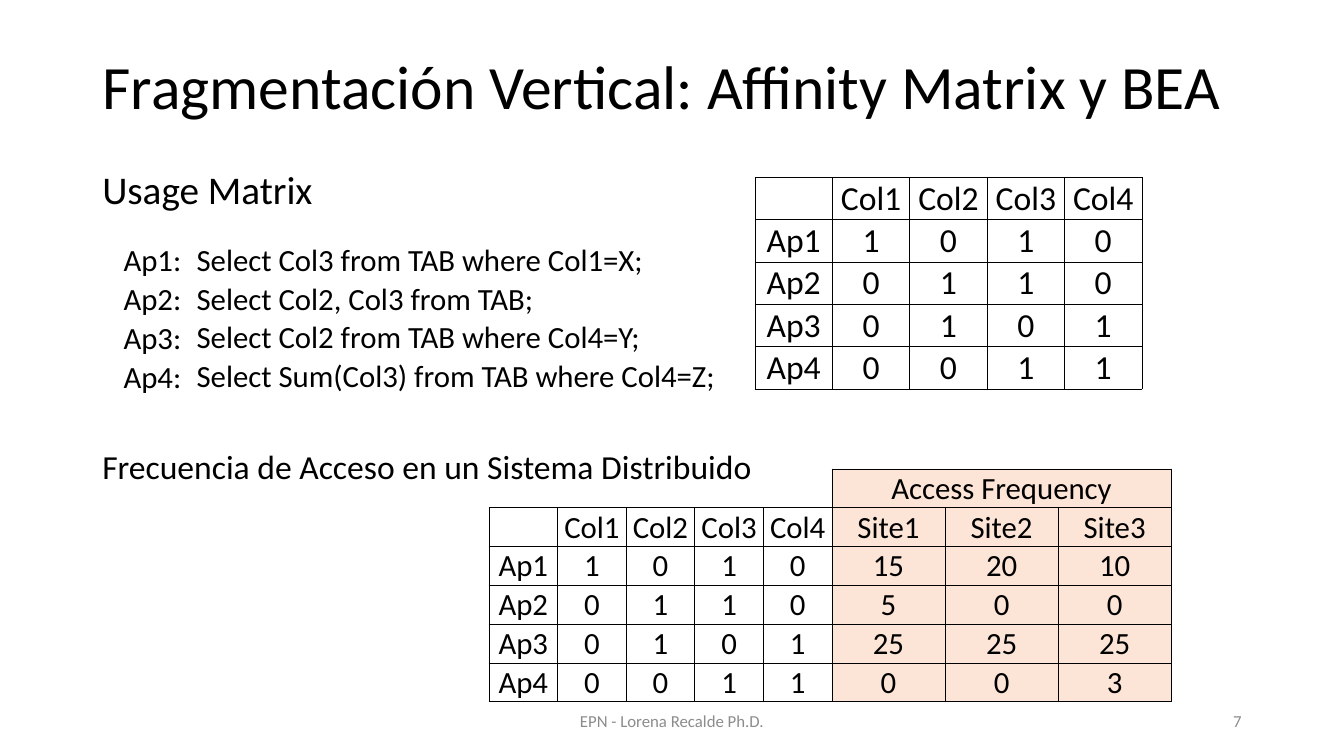
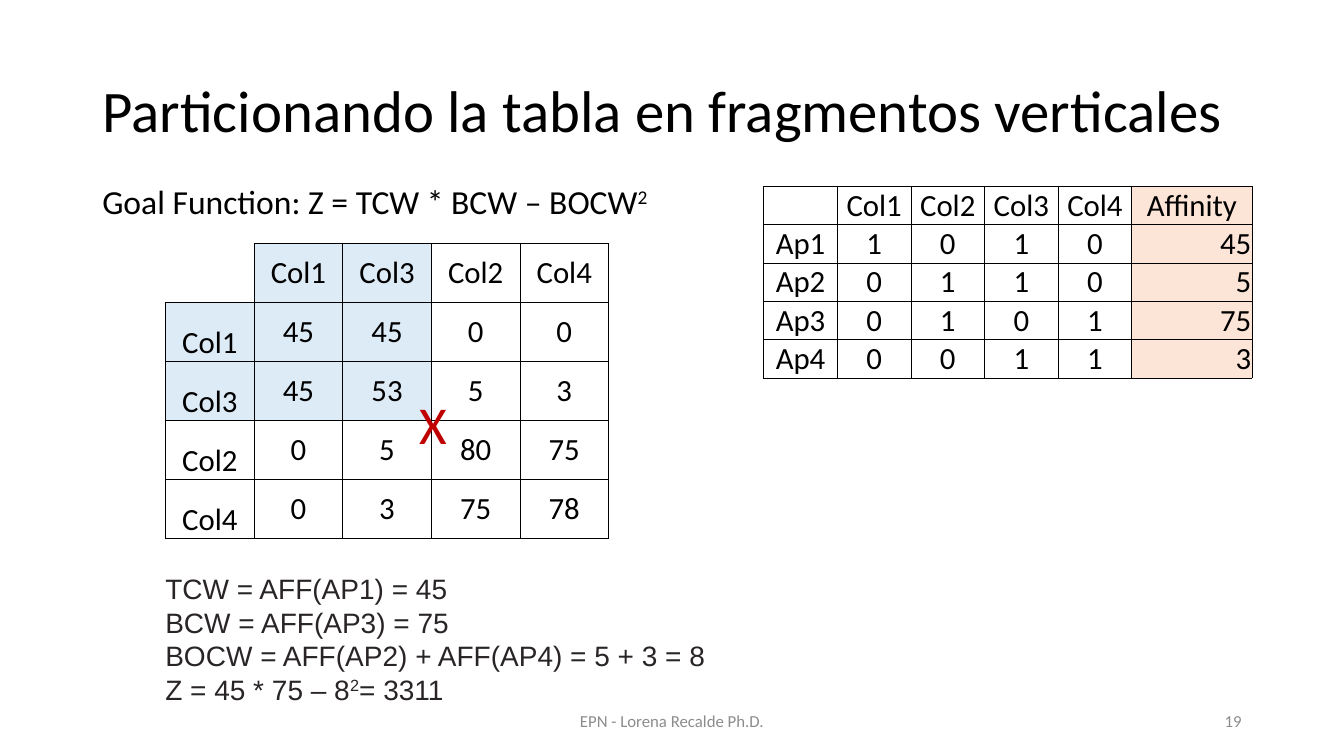
"""Build two slides on vertical fragmentation with usage and affinity matrices."""
from dataclasses import dataclass, field
from itertools import product
from typing import NamedTuple, Optional

from lxml.etree import SubElement
from pptx import Presentation
from pptx.dml.color import RGBColor
from pptx.enum.text import MSO_ANCHOR as Anchor, MSO_AUTO_SIZE as AutoSize, PP_ALIGN as Align
from pptx.oxml.ns import qn
from pptx.util import Pt

COLOURS = {
    "text": "000000",
    "footer": "8C8C8C",
    "result": "292526",
    "cut": "C00000",
    "peach": "FCE4D6",
    "blue": "DDEBF7",
}
NO_GRID_STYLE = "{2D5ABB26-0587-4C30-8999-92F81FD0307C}"
CELL_INSET = 0.5
COLUMN_NAMES = ["Col1", "Col2", "Col3", "Col4"]
USAGE = [
    ["", *COLUMN_NAMES],
    ["Ap1", "1", "0", "1", "0"],
    ["Ap2", "0", "1", "1", "0"],
    ["Ap3", "0", "1", "0", "1"],
    ["Ap4", "0", "0", "1", "1"],
]


class Run(NamedTuple):
    text: str
    superscript: bool = False


class Placement(NamedTuple):
    align: Align
    anchor: Anchor
    indent: float = CELL_INSET


CENTRED = Placement(Align.CENTER, Anchor.MIDDLE)
LOW_CENTRED = Placement(Align.CENTER, Anchor.BOTTOM)
LOW_RIGHT = Placement(Align.RIGHT, Anchor.BOTTOM)


@dataclass
class Caption:
    left: float
    top: float
    width: float
    height: float
    lines: list[list[Run]]
    size: float
    colour: str = "text"
    font: str = "Calibri"
    align: Align = Align.LEFT
    anchor: Anchor = Anchor.MIDDLE
    spacing: float = 1.0


@dataclass
class Matrix:
    left: float
    top: float
    widths: list[float]
    row_height: float
    rows: list[list[Optional[str]]]
    size: float = 22
    tint: str = "peach"
    tinted: set[tuple[int, int]] = field(default_factory=set)
    placements: dict[tuple[int, int], Placement] = field(default_factory=dict)
    bordered: bool = True
    heading_span: Optional[tuple[int, int]] = None


def rgb(name: str) -> RGBColor:
    return RGBColor.from_string(COLOURS[name])


def add_run(paragraph, part: Run, size: float, colour: str = "text", font: str = "Calibri") -> None:
    run = paragraph.add_run()
    run.text = part.text
    run.font.size = Pt(size)
    run.font.name = font
    run.font.color.rgb = rgb(colour)
    if part.superscript:
        run.font._element.set("baseline", "30000")


def fill_caption(shape, caption: Caption) -> None:
    shape.left, shape.top = Pt(caption.left), Pt(caption.top)
    shape.width, shape.height = Pt(caption.width), Pt(caption.height)
    frame = shape.text_frame
    frame.word_wrap = True
    frame.auto_size = AutoSize.NONE
    frame.vertical_anchor = caption.anchor
    for index, line in enumerate(caption.lines):
        paragraph = frame.add_paragraph() if index else frame.paragraphs[0]
        paragraph.alignment = caption.align
        paragraph.line_spacing = caption.spacing
        for part in line:
            add_run(paragraph, part, caption.size, caption.colour, caption.font)


def add_caption(slide, caption: Caption) -> None:
    fill_caption(slide.shapes.add_textbox(0, 0, 0, 0), caption)


def add_borders(cell, sides: str) -> None:
    properties = cell._tc.get_or_add_tcPr()
    for index, side in enumerate(sides):
        line = SubElement(properties, qn(f"a:ln{side}"), w=str(Pt(0.5)))
        solid = SubElement(line, qn("a:solidFill"))
        SubElement(solid, qn("a:srgbClr"), val=COLOURS["text"])
        properties.insert(index, line)


def border_sides(matrix: Matrix, row: int, column: int) -> str:
    if not matrix.bordered:
        return ""
    if matrix.rows[row][column] is not None:
        return "LRTB"
    return "B" if matrix.rows[row][column + 1] is None else "RB"


def add_matrix(slide, matrix: Matrix) -> None:
    row_count, column_count = len(matrix.rows), len(matrix.widths)
    table = slide.shapes.add_table(
        row_count, column_count, Pt(matrix.left), Pt(matrix.top),
        Pt(sum(matrix.widths)), Pt(matrix.row_height * row_count),
    ).table
    table.first_row = table.horz_banding = False
    table._tbl.tblPr.find(qn("a:tableStyleId")).text = NO_GRID_STYLE
    for column, width in zip(table.columns, matrix.widths):
        column.width = Pt(width)
    for row in table.rows:
        row.height = Pt(matrix.row_height)
    for position in product(range(row_count), range(column_count)):
        cell = table.cell(*position)
        placement = matrix.placements.get(position, CENTRED)
        cell.margin_left = Pt(placement.indent)
        cell.margin_right = cell.margin_top = Pt(CELL_INSET)
        cell.margin_bottom = 0
        cell.vertical_anchor = placement.anchor
        if position in matrix.tinted:
            cell.fill.solid()
            cell.fill.fore_color.rgb = rgb(matrix.tint)
        else:
            cell.fill.background()
        add_borders(cell, border_sides(matrix, *position))
        value = matrix.rows[position[0]][position[1]]
        if value:
            paragraph = cell.text_frame.paragraphs[0]
            paragraph.alignment = placement.align
            add_run(paragraph, Run(value), matrix.size)
    if matrix.heading_span:
        first, last = matrix.heading_span
        table.cell(0, first).merge(table.cell(0, last))


def add_page(deck, title: str, title_size: float, title_height: float, number: str):
    slide = deck.slides.add_slide(deck.slide_layouts[5])
    fill_caption(slide.shapes.title, Caption(
        66, 28.8, 828, title_height, [[Run(title)]], title_size, spacing=0.9))
    add_caption(slide, Caption(
        318, 500.5, 324, 28.75, [[Run("EPN - Lorena Recalde Ph.D.")]], 12, "footer", align=Align.CENTER))
    add_caption(slide, Caption(
        678, 500.5, 216, 28.75, [[Run(number)]], 12, "footer", align=Align.RIGHT))
    return slide


def add_usage_page(deck) -> None:
    slide = add_page(deck, "Fragmentación Vertical: Affinity Matrix y BEA", 44, 70.5, "7")
    queries = [
        ["Ap1:", "Select Col3 from TAB where Col1=X;"],
        ["Ap2:", "Select Col2, Col3 from TAB;"],
        ["Ap3:", "Select Col2 from TAB where Col4=Y;"],
        ["Ap4:", "Select Sum(Col3) from TAB where Col4=Z;"],
    ]
    query_placement = Placement(Align.LEFT, Anchor.MIDDLE, 10.5)
    add_matrix(slide, Matrix(
        66, 172, [64, 394], 27.8, queries, bordered=False,
        placements={(row, column): (LOW_RIGHT, query_placement)[column]
                    for row, column in product(range(4), range(2))}))
    add_caption(slide, Caption(66, 118, 179, 38, [[Run("Usage Matrix")]], 28, spacing=0.9))
    add_matrix(slide, Matrix(539.3, 126.8, [55.3] * 5, 30.2, USAGE, size=24))
    site_values = [
        ["Site1", "Site2", "Site3"],
        ["15", "20", "10"],
        ["5", "0", "0"],
        ["25", "25", "25"],
        ["0", "0", "3"],
    ]
    heading = [None] * 5 + ["Access Frequency", "", ""]
    add_matrix(slide, Matrix(
        349.3, 335, [49] * 5 + [80.8] * 3, 27.7,
        [heading] + [usage + sites for usage, sites in zip(USAGE, site_values)],
        tinted=set(product(range(6), range(5, 8))),
        placements={(0, 5): LOW_CENTRED}, heading_span=(5, 7)))
    add_caption(slide, Caption(
        66, 309.6, 479, 50, [[Run("Frecuencia de Acceso en un Sistema Distribuido")]], 24, spacing=0.9))


def add_partition_page(deck) -> None:
    slide = add_page(deck, "Particionando la tabla en fragmentos verticales", 42, 104.4, "19")
    add_caption(slide, Caption(
        66, 125.5, 420, 36, [[Run("Goal Function: Z = TCW * BCW – BOCW"), Run("2", True)]],
        24, anchor=Anchor.TOP))
    affinities = [
        [None, "Col1", "Col3", "Col2", "Col4"],
        ["Col1", "45", "45", "0", "0"],
        ["Col3", "45", "53", "5", "3"],
        ["Col2", "0", "5", "80", "75"],
        ["Col4", "0", "3", "75", "78"],
    ]
    add_matrix(slide, Matrix(
        118.2, 173.8, [63.3] * 5, 42.2, affinities, tint="blue",
        tinted=set(product(range(3), range(3))) - {(0, 0)},
        placements={(row, 0): LOW_CENTRED for row in range(1, 5)}))
    add_caption(slide, Caption(
        292.3, 275.8, 46.8, 53.3, [[Run("X")]], 38, "cut", anchor=Anchor.TOP))
    totals = ["Affinity", "45", "5", "75", "3"]
    add_matrix(slide, Matrix(
        545.5, 133, [52.6] * 5 + [85.8], 27.4,
        [usage + [total] for usage, total in zip(USAGE, totals)],
        tinted={(row, 5) for row in range(5)},
        placements={(row, 5): LOW_RIGHT for row in range(1, 5)}))
    results = [
        [Run("TCW = AFF(AP1) = 45")],
        [Run("BCW = AFF(AP3) = 75")],
        [Run("BOCW = AFF(AP2) + AFF(AP4) = 5 + 3 = 8")],
        [Run("Z = 45 * 75 – 8"), Run("2", True), Run("= 3311")],
    ]
    add_caption(slide, Caption(
        111, 404.6, 581, 104.4, results, 20, "result", "Arial", anchor=Anchor.TOP))


def main() -> None:
    deck = Presentation()
    deck.slide_width, deck.slide_height = Pt(960), Pt(540)
    add_usage_page(deck)
    add_partition_page(deck)
    deck.save("out.pptx")


if __name__ == "__main__":
    main()
